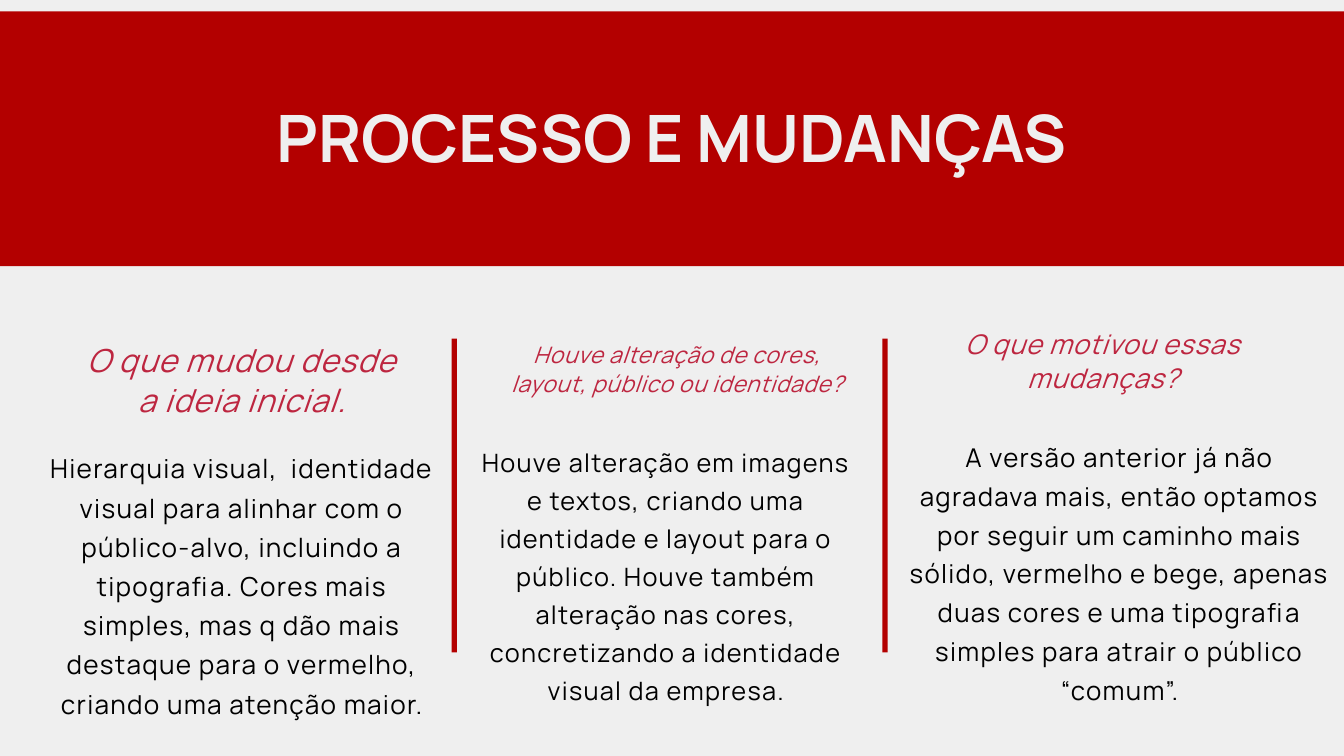
from pptx import Presentation
from pptx.dml.color import RGBColor
from pptx.enum.shapes import MSO_SHAPE as Shape
from pptx.enum.text import MSO_ANCHOR as Anchor, PP_ALIGN as Align
from pptx.util import Inches, Pt

RED = RGBColor(0xB3, 0x00, 0x00)
CRIMSON = RGBColor(0xBD, 0x26, 0x40)
BLACK = RGBColor(0x00, 0x00, 0x00)
LIGHT = RGBColor(0xEF, 0xEF, 0xEF)
FONT = "Manrope"

TITLE = {"color": LIGHT, "bold": True}
QUESTION = {"color": CRIMSON, "italic": True}
ANSWER = {"color": BLACK}

# Each text: wording, box (left, top, width, height), size, line pitch, tracking
COLUMNS = [
    (
        ("O que mudou desde a ideia inicial.",
         (1.13, 5.05, 4.94, 1.17), 34, 42.5, 1.2),
        ("Hierarquia visual,  identidade visual para alinhar com o "
         "público-alvo, incluindo a tipografia. Cores mais simples, mas q dão "
         "mais destaque para o vermelho, criando uma atenção maior.",
         (0.7, 6.62, 5.8, 4.04), 28, 42, 1.4),
    ),
    (
        ("Houve alteração de cores, layout, público ou identidade?",
         (7.35, 5.06, 5.46, 0.84), 24.3, 30.4, 0.8),
        ("Houve alteração em imagens e textos, criando uma identidade e "
         "layout para o público. Houve também alteração nas cores, "
         "concretizando a identidade visual da empresa.",
         (7.02, 6.54, 5.78, 3.92), 27.1, 40.7, 1.4),
    ),
    (
        ("O que motivou essas mudanças?",
         (13.45, 4.86, 5.92, 1), 28.9, 36.1, 1),
        ("A versão anterior já não agradava mais, então optamos por seguir um "
         "caminho mais sólido, vermelho e bege, apenas duas cores e uma "
         "tipografia simples para atrair o público “comum”.",
         (13.45, 6.46, 6.42, 4), 27.7, 41.5, 1.4),
    ),
]
DIVIDER_LEFTS = (6.72, 13.13)


def add_red_block(slide, *box):
    block = slide.shapes.add_shape(Shape.RECTANGLE, *map(Inches, box))
    block.shadow.inherit = False
    block.fill.solid()
    block.fill.fore_color.rgb = RED
    block.line.fill.background()


def add_text(slide, wording, box, size, pitch, tracking, style):
    """Add a centred text; pitch and tracking are in points."""
    frame = slide.shapes.add_textbox(*map(Inches, box)).text_frame
    frame_format = {
        "word_wrap": True, "vertical_anchor": Anchor.TOP,
        "margin_left": 0, "margin_top": 0,
        "margin_right": 0, "margin_bottom": 0,
    }
    for name, value in frame_format.items():
        setattr(frame, name, value)

    paragraph = frame.paragraphs[0]
    paragraph.alignment = Align.CENTER
    paragraph.line_spacing = Pt(pitch)
    run = paragraph.add_run()
    run.text = wording
    font_format = {"name": FONT, "size": Pt(size), **style}
    run.font.color.rgb = font_format.pop("color")
    for name, value in font_format.items():
        setattr(run.font, name, value)
    if tracking:
        run._r.get_or_add_rPr().set("spc", str(round(tracking * 100)))


def main():
    deck = Presentation()
    deck.slide_width, deck.slide_height = Inches(20), Inches(11.25)
    slide = deck.slides.add_slide(deck.slide_layouts[6])
    slide.background.fill.solid()
    slide.background.fill.fore_color.rgb = LIGHT

    add_red_block(slide, 0, 0.17, 20, 3.79)
    add_text(slide, "PROCESSO E MUDANÇAS", (1.63, 1.5, 16.73, 1.15),
             70, 80.5, 0, TITLE)

    for question, answer in COLUMNS:
        add_text(slide, *question, QUESTION)
        add_text(slide, *answer, ANSWER)
    for left in DIVIDER_LEFTS:
        add_red_block(slide, left, 5.04, 0.08, 4.67)

    deck.save("out.pptx")


if __name__ == "__main__":
    main()
